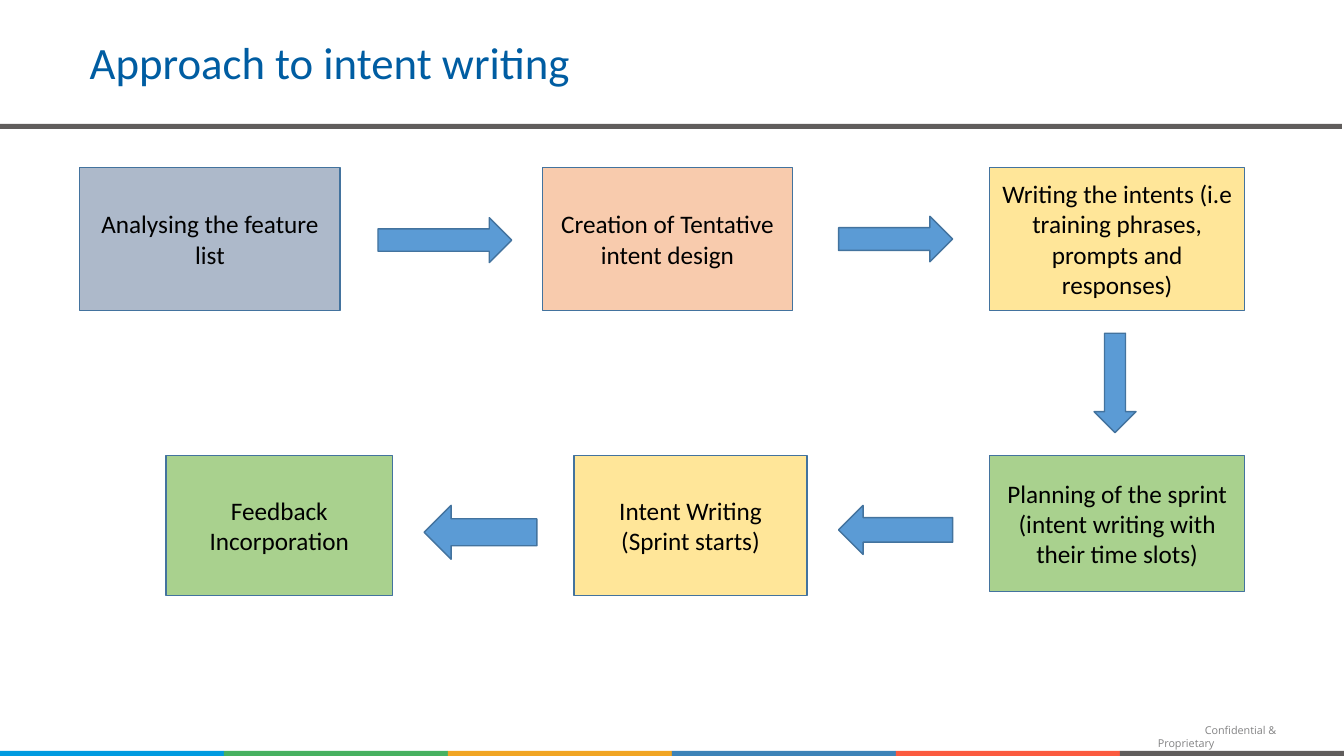
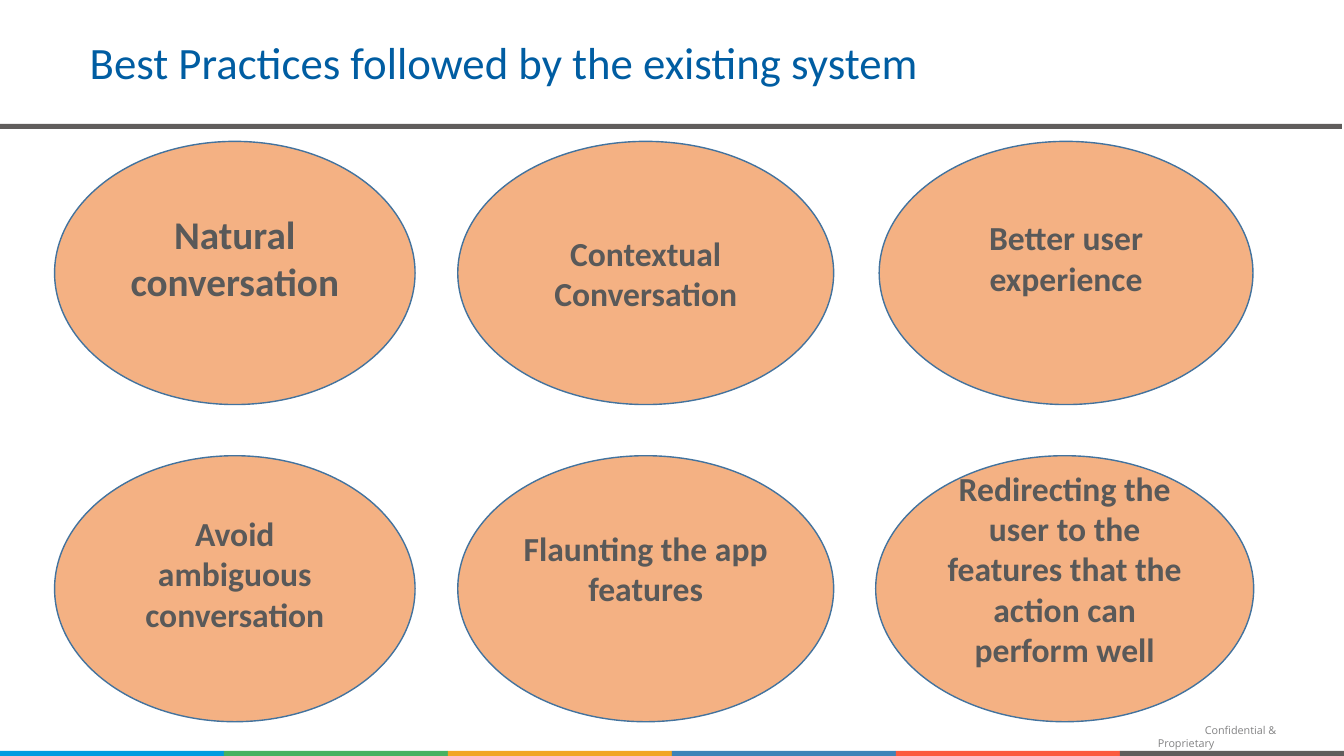
"""Builds two slides on intent writing: a process flow and a set of best practices."""
from lxml import etree
from pptx import Presentation
from pptx.dml.color import RGBColor
from pptx.enum.shapes import MSO_SHAPE
from pptx.enum.text import MSO_ANCHOR, PP_ALIGN
from pptx.oxml.ns import qn
from pptx.util import Pt

BLUE, GREY, OUTLINE, ARROW = "005DA2", "605D5C", "43739E", "5B9BD5"
STEEL, PEACH, YELLOW, GREEN, ORANGE = "ADB9CA", "F8CBAD", "FFE699", "A9D18E", "F4B183"
BANDS = ["009BE0", "47B160", "F1A523", BLUE, "FB5A3F", GREY]
BAND_W, BAND_H = 160, 3.6


def write(shape, text, size, color, font="Calibri", bold=False):
    """Put one styled paragraph into a shape and return it."""
    shape.text_frame.word_wrap = True
    paragraph = shape.text_frame.paragraphs[0]
    run = paragraph.add_run()
    run.text = text
    run.font.name, run.font.size, run.font.bold = font, Pt(size), bold
    run.font.color.rgb = RGBColor.from_string(color)
    return paragraph


def draw(slide, kind, box, fill, outline=None):
    """Add a filled preset shape at a box given in points."""
    shape = slide.shapes.add_shape(kind, *map(Pt, box))
    shape.shadow.inherit = False
    shape.fill.solid()
    shape.fill.fore_color.rgb = RGBColor.from_string(fill)
    if outline:
        shape.line.color.rgb = RGBColor.from_string(outline)
        shape.line.width = Pt(1)
    else:
        shape.line.fill.background()
    return shape


prs = Presentation()
prs.slide_width, prs.slide_height = Pt(960), Pt(540)

slides = []
for heading in ["Approach to intent writing", "Best Practices followed by the existing system"]:
    slide = prs.slides.add_slide(prs.slide_layouts[6])
    slides.append(slide)

    footer = slide.shapes.add_textbox(Pt(820), Pt(513.5), Pt(139), Pt(12))
    line = write(footer, "Confidential & Proprietary", 7.7, "838384", "Open Sans")
    line._p.get_or_add_pPr().set("indent", str(Pt(33.5)))

    for i, color in enumerate(BANDS):
        band = draw(slide, MSO_SHAPE.RECTANGLE, (i * BAND_W, 540 - BAND_H, BAND_W, BAND_H), color)
        if color == BLUE:
            tint = band._element.spPr.find(qn("a:solidFill"))[0]
            etree.SubElement(tint, qn("a:alpha")).set("val", "76000")
    draw(slide, MSO_SHAPE.RECTANGLE, (0, 88.5, 958.5, BAND_H), GREY)

    title = slide.shapes.add_textbox(Pt(57), Pt(24), Pt(873), Pt(63))
    title.text_frame.margin_top = Pt(10)
    write(title, heading, 32, BLUE).line_spacing = 0.75

flow, practices = slides

TOP, BOTTOM = 119.5, 325.5
steps = [
    ("Analysing the feature list", STEEL, (57, TOP, 186, 102.5)),
    ("Creation of Tentative intent design", PEACH, (387.5, TOP, 178.5, 102.5)),
    ("Writing the intents (i.e training phrases, prompts and responses)", YELLOW,
     (707, TOP, 182, 102.5)),
    ("Planning of the sprint (intent writing with their time slots)", GREEN,
     (707, BOTTOM, 182, 97)),
    ("Intent Writing (Sprint starts)", YELLOW, (410, BOTTOM, 166.5, 100)),
    ("Feedback Incorporation", GREEN, (118.5, BOTTOM, 162, 100)),
]
for text, fill, box in steps:
    step = draw(flow, MSO_SHAPE.RECTANGLE, box, fill, OUTLINE)
    step.text_frame.vertical_anchor = MSO_ANCHOR.MIDDLE
    write(step, text, 18, "000000").alignment = PP_ALIGN.CENTER

arrows = [
    (MSO_SHAPE.RIGHT_ARROW, (270, 155.5, 95.5, 32)),
    (MSO_SHAPE.RIGHT_ARROW, (599, 154.5, 81.5, 32.5)),
    (MSO_SHAPE.DOWN_ARROW, (781.5, 238, 30, 71)),
    (MSO_SHAPE.LEFT_ARROW, (599, 361, 81.5, 35)),
    (MSO_SHAPE.LEFT_ARROW, (303, 361, 80.5, 38.5)),
]
for kind, box in arrows:
    draw(flow, kind, box, ARROW, OUTLINE)

rows = [(101, 188), (325.5, 190)]
ovals = [
    ("Natural conversation", 28, 0, 39, 257.5, 22),
    ("Contextual Conversation", 24, 0, 327, 268.5, 0),
    ("Better user experience", 24, 0, 628, 267, 22),
    ("Avoid ambiguous conversation", 24, 1, 39, 257.5, 22),
    ("Flaunting the app features", 24, 1, 327, 268.5, 29),
    ("Redirecting the user to the features that the action can perform well", 24, 1, 625.5, 270, 29),
]
for text, size, row, left, width, lift in ovals:
    top, height = rows[row]
    oval = draw(practices, MSO_SHAPE.OVAL, (left, top, width, height), ORANGE, OUTLINE)
    oval.text_frame.vertical_anchor = MSO_ANCHOR.MIDDLE
    oval.text_frame.margin_bottom = Pt(3.6 + lift)
    write(oval, text, size, "595959", bold=True).alignment = PP_ALIGN.CENTER

prs.save("out.pptx")
